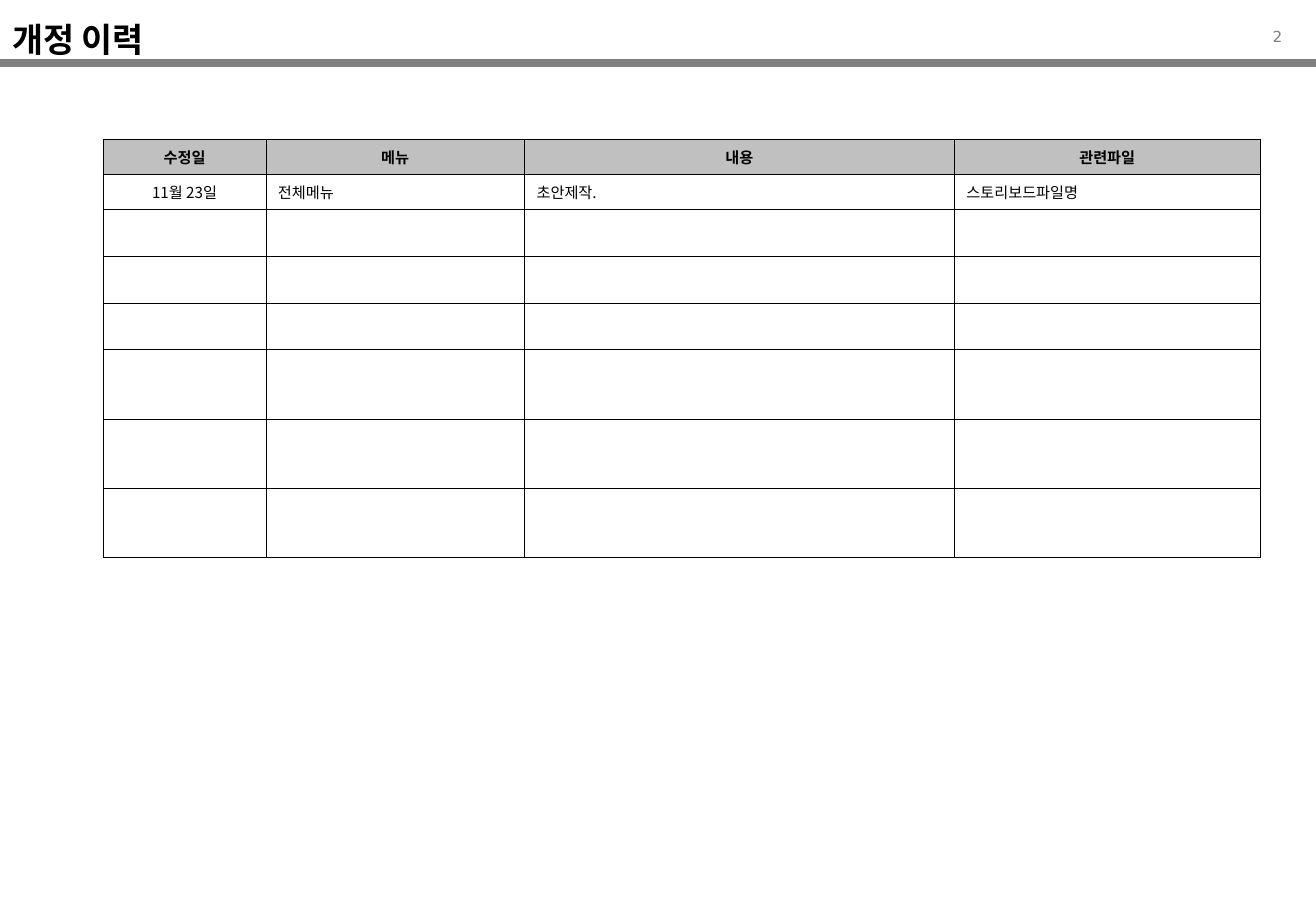
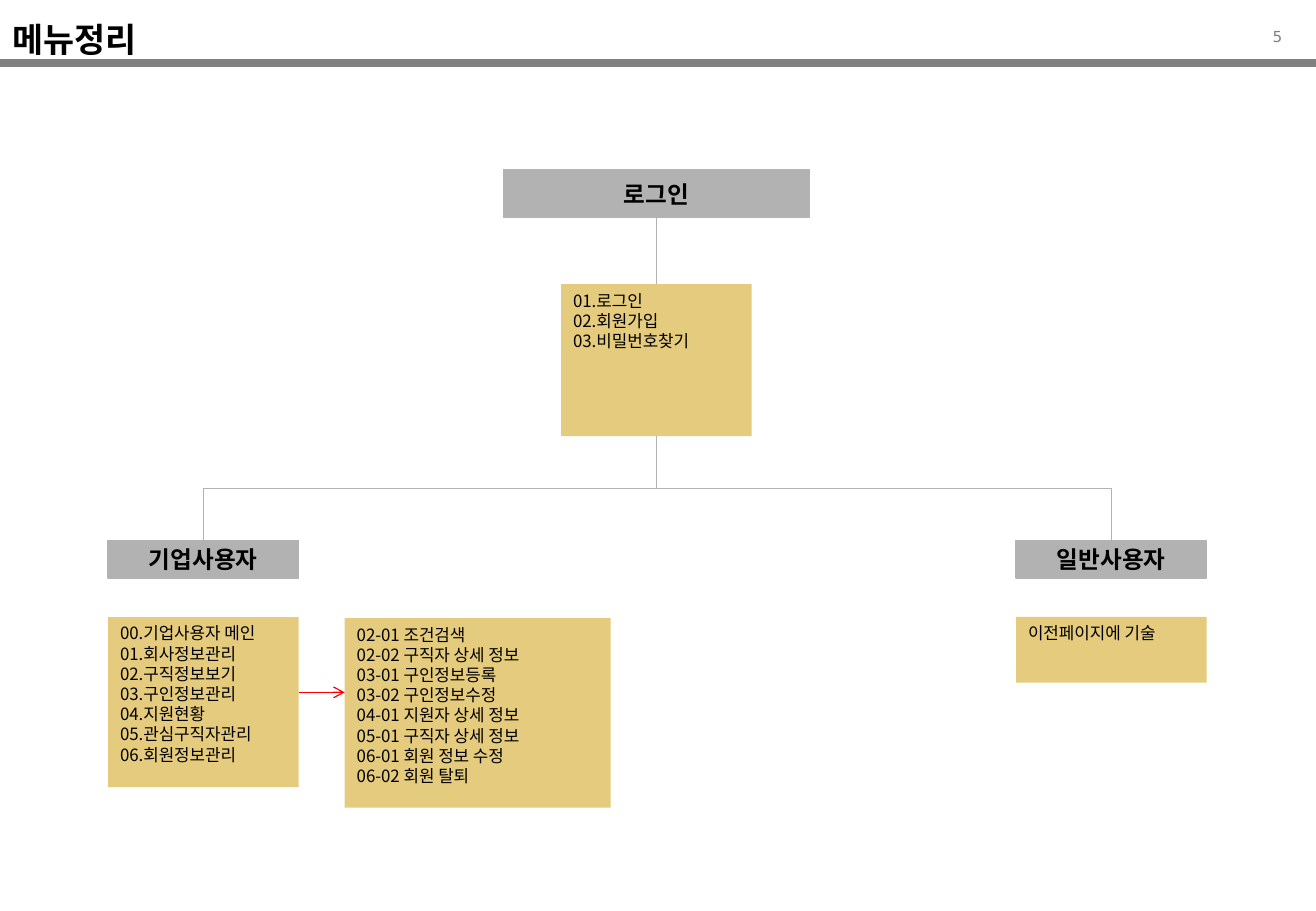
from dataclasses import dataclass

from lxml.etree import SubElement
from pptx import Presentation
from pptx.dml.color import RGBColor
from pptx.enum.shapes import MSO_CONNECTOR, MSO_SHAPE
from pptx.enum.text import MSO_ANCHOR, MSO_AUTO_SIZE, PP_ALIGN
from pptx.oxml import parse_xml
from pptx.oxml.ns import nsdecls, qn
from pptx.util import Inches, Pt


@dataclass(frozen=True)
class Theme:
    font: str = "Noto Sans CJK KR"
    number_font: str = "DejaVu Sans"
    ink: str = "000000"
    paper: str = "FFFFFF"
    band: str = "808080"
    header: str = "C0C0C0"
    branch: str = "B2B2B2"
    menu: str = "CC9900"
    accent: str = "FF0000"
    menu_opacity: int = 51
    title_size: float = 20
    heading_size: float = 14
    menu_size: float = 10
    small_size: float = 9
    band_width: float = 4.5
    line_width: float = 0.75
    border_width: float = 0.45


THEME = Theme()
WIDTH, HEIGHT = Inches(10.84), Inches(7.5)
TOP, BOTTOM = 0, 2

HEADERS = ["수정일", "메뉴", "내용", "관련파일"]
FIRST_REVISION = ["11월 23일", "전체메뉴", "초안제작.", "스토리보드파일명"]
COLUMN_SHARES = [12.36, 19.65, 32.66, 23.25]
ROW_SHARES = [3.87] * 2 + [5.13] * 3 + [7.6] * 3

LOGIN_MENU = ["01.로그인", "02.회원가입", "03.비밀번호찾기"]
COMPANY_MENU = [
    "00.기업사용자 메인", "01.회사정보관리", "02.구직정보보기", "03.구인정보관리",
    "04.지원현황", "05.관심구직자관리", "06.회원정보관리",
]
COMPANY_DETAILS = [
    "02-01 조건검색", "02-02 구직자 상세 정보", "03-01 구인정보등록", "03-02 구인정보수정",
    "04-01 지원자 상세 정보", "05-01 구직자 상세 정보", "06-01 회원 정보 수정", "06-02 회원 탈퇴",
]
MENU_WIDTH = 14.48
COMPANY_LEFT, LOGIN_LEFT, PERSONAL_LEFT = 8.21, 42.64, 77.21
USER_TOP, USER_MENU_TOP = 59.33, 67.73


def col(share):
    return round(WIDTH * share / 100)


def row(share):
    return round(HEIGHT * share / 100)


def area(left, top, width, height):
    return col(left), row(top), col(width), row(height)


def apply(target, formats):
    for attribute, value in formats.items():
        setattr(target, attribute, value)


def write(frame, lines, size, bold=False, color=THEME.ink, font=THEME.font, **paragraph_format):
    for index, line in enumerate(lines):
        paragraph = frame.paragraphs[0] if index == 0 else frame.add_paragraph()
        apply(paragraph, {"alignment": PP_ALIGN.LEFT, **paragraph_format})
        run = paragraph.add_run()
        run.text = line
        apply(run.font, {"name": font, "size": Pt(size), "bold": bold})
        run.font.color.rgb = RGBColor.from_string(color)
        SubElement(run._r.get_or_add_rPr(), qn("a:ea")).set("typeface", font)


def paint(fill, color):
    fill.solid()
    fill.fore_color.rgb = RGBColor.from_string(color)


def style_line(connector, color, width):
    connector.line.width = Pt(width)
    connector.line.color.rgb = RGBColor.from_string(color)
    SubElement(connector._element.spPr, qn("a:effectLst"))


def add_straight(slide, start, end, color=THEME.branch, width=THEME.line_width):
    line = slide.shapes.add_connector(
        MSO_CONNECTOR.STRAIGHT, col(start[0]), row(start[1]), col(end[0]), row(end[1]))
    style_line(line, color, width)
    return line


def add_branch(slide, child, parent):
    branch = slide.shapes.add_connector(MSO_CONNECTOR.ELBOW, 0, 0, 0, 0)
    branch.begin_connect(child, TOP)
    branch.end_connect(parent, BOTTOM)
    child_x = child.left + child.width // 2
    parent_x = parent.left + parent.width // 2
    parent_y = parent.top + parent.height
    rise, span = child.top - parent_y, abs(parent_x - child_x)
    apply(branch, {
        "left": (child_x + parent_x - rise) // 2,
        "top": (child.top + parent_y - span) // 2,
        "width": rise,
        "height": span,
    })
    on_left = child_x < parent_x
    turn = {"rot": "5400000" if on_left else "16200000",
            "flipH": "1" if on_left else "0", "flipV": "1"}
    for attribute, value in turn.items():
        branch._element.spPr.xfrm.set(attribute, value)
    style_line(branch, THEME.branch, THEME.line_width)


def add_block(slide, place, color):
    block = slide.shapes.add_shape(MSO_SHAPE.RECTANGLE, *area(*place))
    block.shadow.inherit = False
    paint(block.fill, color)
    return block


def add_heading(slide, text, place):
    heading = add_block(slide, place, THEME.branch)
    heading.line.color.rgb = RGBColor.from_string(THEME.branch)
    heading.line.width = Pt(THEME.line_width)
    apply(heading.text_frame, {"word_wrap": False, "vertical_anchor": MSO_ANCHOR.MIDDLE})
    write(heading.text_frame, [text], THEME.heading_size, bold=True, alignment=PP_ALIGN.CENTER)
    return heading


def add_menu(slide, entries, place):
    menu = add_block(slide, place, THEME.menu)
    menu.line.fill.background()
    tint = menu._element.spPr.find(qn("a:solidFill"))[0]
    SubElement(tint, qn("a:alpha")).set("val", str(THEME.menu_opacity * 1000))
    apply(menu.text_frame, {"word_wrap": True, "vertical_anchor": MSO_ANCHOR.TOP})
    write(menu.text_frame, entries, THEME.menu_size, line_spacing=Pt(12))
    return menu


def style_cell(cell, color):
    apply(cell, {"vertical_anchor": MSO_ANCHOR.MIDDLE,
                 "margin_top": Inches(0.01), "margin_bottom": Inches(0.01)})
    paint(cell.fill, color)
    properties = cell._tc.get_or_add_tcPr()
    for index, side in enumerate("LRTB"):
        properties.insert(index, parse_xml(
            f'<a:ln{side} {nsdecls("a")} w="{Pt(THEME.border_width)}"><a:solidFill>'
            f'<a:srgbClr val="{THEME.ink}"/></a:solidFill></a:ln{side}>'))


def add_revision_table(slide):
    frame = slide.shapes.add_table(
        len(ROW_SHARES), len(COLUMN_SHARES),
        *area(7.84, 15.27, sum(COLUMN_SHARES), sum(ROW_SHARES)))
    table = frame.table
    apply(table, {"first_row": False, "horz_banding": False})
    for column, share in zip(table.columns, COLUMN_SHARES):
        column.width = col(share)
    for line, share in zip(table.rows, ROW_SHARES):
        line.height = row(share)
    for index, cell in enumerate(table.iter_cells()):
        style_cell(cell, THEME.header if index < len(HEADERS) else THEME.paper)
    for row_index, texts in enumerate([HEADERS, FIRST_REVISION]):
        for column_index, text in enumerate(texts):
            is_header = row_index == 0
            centred = is_header or column_index == 0
            write(table.cell(row_index, column_index).text_frame, [text], THEME.small_size,
                  bold=is_header, alignment=PP_ALIGN.CENTER if centred else PP_ALIGN.LEFT)


def prepare_layout(layout, slide):
    left, top, width, height = area(0, 2.8, 26.85, 2.93)
    apply(layout.placeholders[0], {"left": left, "top": top, "width": width, "height": height})
    band = add_straight(slide, (0, 6.93), (100, 6.93), THEME.band, THEME.band_width)
    layout.shapes.element.append(band._element)


def add_page(deck, layout, title, number):
    slide = deck.slides.add_slide(layout)
    title_frame = slide.shapes.title.text_frame
    apply(title_frame, {"word_wrap": True, "auto_size": MSO_AUTO_SIZE.NONE,
                        "vertical_anchor": MSO_ANCHOR.MIDDLE})
    write(title_frame, [title], THEME.title_size, bold=True)
    page_number = slide.shapes.add_textbox(*area(93.54, 1.73, 4.8, 4))
    page_number.text_frame.word_wrap = True
    write(page_number.text_frame, [str(number)], THEME.small_size, color=THEME.band,
          font=THEME.number_font, alignment=PP_ALIGN.RIGHT, line_spacing=1.3)
    return slide


def add_menu_tree(slide):
    add_menu(slide, ["이전페이지에 기술"], (PERSONAL_LEFT, USER_MENU_TOP, MENU_WIDTH, 7.2))
    add_menu(slide, COMPANY_MENU, (COMPANY_LEFT, USER_MENU_TOP, MENU_WIDTH, 18.67))
    add_menu(slide, COMPANY_DETAILS, (26.2, 67.87, 20.2, 20.8))
    arrow = add_straight(slide, (COMPANY_LEFT + MENU_WIDTH, 76), (26.2, 76), THEME.accent)
    SubElement(arrow.line._get_or_add_ln(), qn("a:tailEnd")).set("type", "arrow")

    login = add_heading(slide, "로그인", (38.26, 18.67, 23.24, 5.2))
    login_menu = add_menu(slide, LOGIN_MENU, (LOGIN_LEFT, 31.2, MENU_WIDTH, 16.67))
    stem = add_straight(slide, (0, 0), (0, 0))
    stem.begin_connect(login, BOTTOM)
    stem.end_connect(login_menu, TOP)
    for text, left in [("기업사용자", COMPANY_LEFT), ("일반사용자", PERSONAL_LEFT)]:
        user = add_heading(slide, text, (left, USER_TOP, MENU_WIDTH, 4.13))
        add_branch(slide, user, login_menu)


def main():
    deck = Presentation()
    apply(deck, {"slide_width": WIDTH, "slide_height": HEIGHT})
    layout = deck.slide_layouts[5]
    history = add_page(deck, layout, "개정 이력", 2)
    prepare_layout(layout, history)
    add_revision_table(history)
    add_menu_tree(add_page(deck, layout, "메뉴정리", 5))
    deck.save("out.pptx")


if __name__ == "__main__":
    main()
